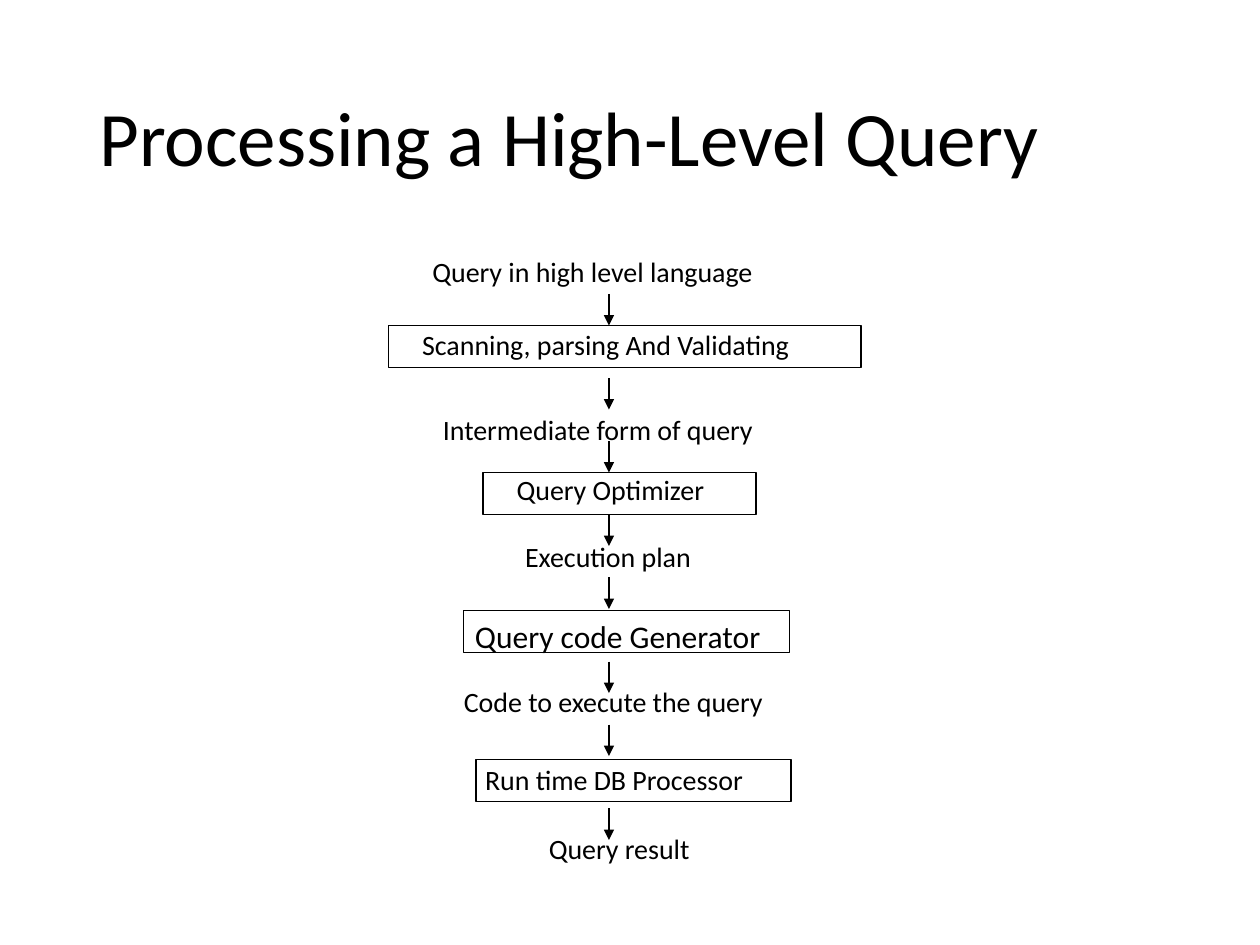
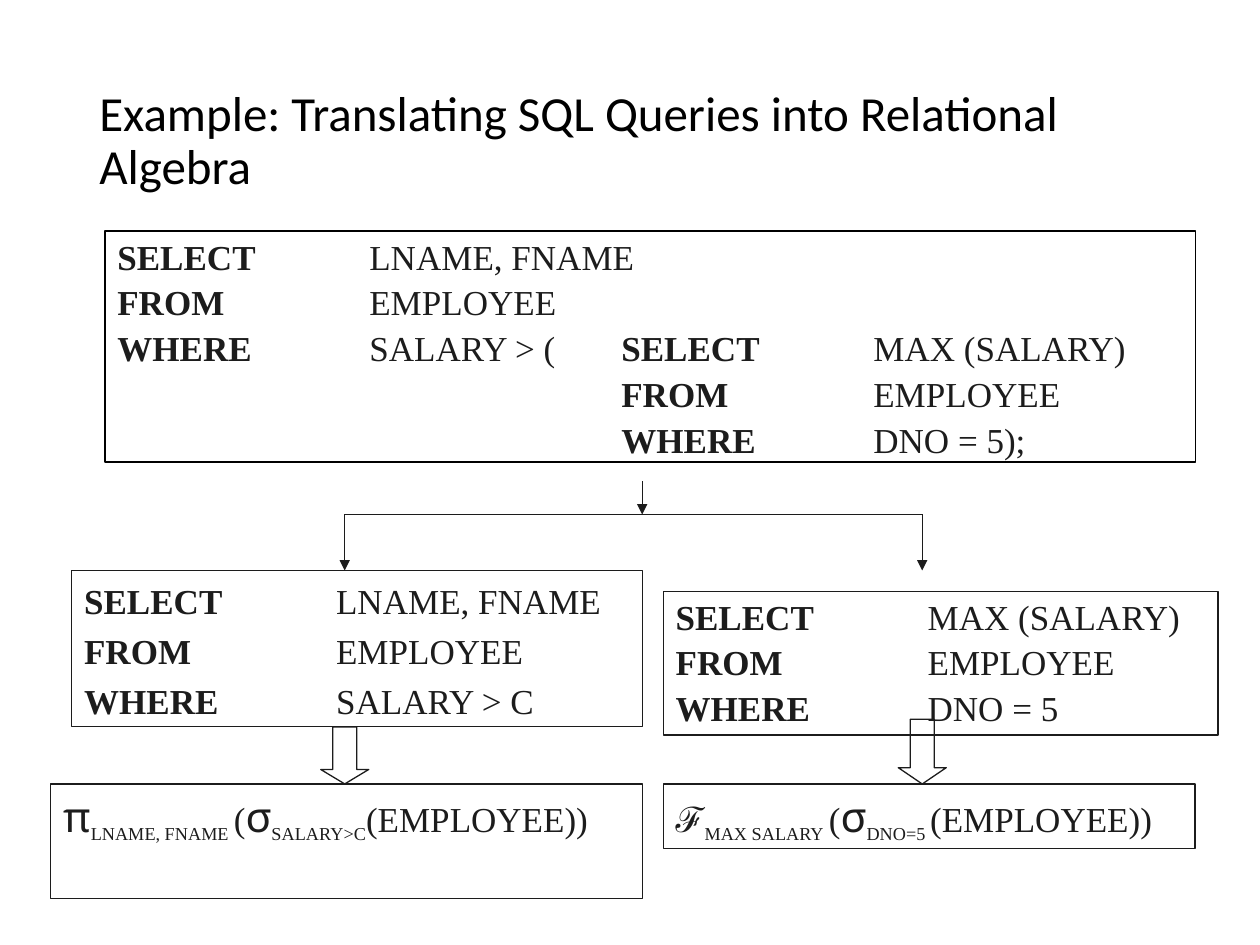
from lxml.etree import SubElement
from pptx import Presentation
from pptx.dml.color import RGBColor
from pptx.enum.shapes import MSO_CONNECTOR as Link, MSO_SHAPE as Shape
from pptx.enum.text import MSO_ANCHOR as Anchor
from pptx.oxml.ns import qn
from pptx.util import Pt

COLORS = {"black": "000000", "ink": "1C1C1C", "paper": "FFFFFF"}
SANS, SERIF, GREEK, SCRIPT = "Calibri", "Times New Roman", "Noto Sans", "Arial"
KEYWORDS = {"SELECT", "FROM", "WHERE"}
COLUMN_STEP = 144  # distance between the tab stops of a query
LINE_WIDTH = 0.75
FLOW_X = 348  # the axis of all flow arrows

# Flow chart: text, left, top, width (text without a frame)
FLOW_DATA = [
    ("Query in high level language", 240, 142, 216),
    ("Intermediate form of query", 246, 232, 207),
    ("Execution plan", 293, 304.5, 118),
    ("Code to execute the query", 258, 387.5, 202),
    ("Query result", 306.5, 471.5, 101),
]
# Flow chart: text, left, top, width, text inset left and top, size
FLOW_STEPS = [
    ("Scanning, parsing And Validating", 222, 186, 270, 19.2, 1.2, 16),
    ("Query Optimizer", 276, 270, 156, 19.2, 0, 16),
    ("Query code Generator", 265, 349, 186, 6.4, 3.6, 18),
    ("Run time DB Processor", 272, 434, 180, 5.2, 1.6, 16),
]
FLOW_ARROW_TOPS = [168, 216, 252, 294, 330, 378, 414, 462]

OUTER_QUERY = [["SELECT", "LNAME, FNAME"], ["FROM", "EMPLOYEE"]]
INNER_QUERY = [["SELECT", "MAX (SALARY)"], ["FROM", "EMPLOYEE"]]
NESTED_QUERY = OUTER_QUERY + [
    ["WHERE", "SALARY > ("] + INNER_QUERY[0],
    ["", ""] + INNER_QUERY[1],
    ["", "", "WHERE", "DNO = 5);"],
]


def color(name):
    return RGBColor.from_string(COLORS[name])


def style_run(run, size, font=SANS, ink="black", bold=False, subscript=False):
    run.font.size = Pt(size)
    run.font.name = font
    run.font.bold = bold
    run.font.color.rgb = color(ink)
    if subscript:
        run._r.get_or_add_rPr().set("baseline", "-25000")


def prepare_frame(frame, insets=(7.2, 3.6, 7.2, 3.6), anchor=Anchor.TOP):
    frame.word_wrap = True
    frame.vertical_anchor = anchor
    (frame.margin_left, frame.margin_top,
     frame.margin_right, frame.margin_bottom) = map(Pt, insets)


def add_label(slide, text, left, top, width, height=26.6, size=16, anchor=Anchor.TOP):
    label = slide.shapes.add_textbox(Pt(left), Pt(top), Pt(width), Pt(height))
    prepare_frame(label.text_frame, anchor=anchor)
    label.text_frame.text = text
    line = label.text_frame.paragraphs[0]
    style_run(line.runs[0], size)
    return line


def add_title(slide, text, size):
    line = add_label(slide, text, 49.7, 28.8, 620.6, 104.4, size, Anchor.MIDDLE)
    line.line_spacing = 0.9


def add_outline(slide, left, top, width, height, ink="ink", kind=Shape.RECTANGLE):
    outline = slide.shapes.add_shape(kind, Pt(left), Pt(top), Pt(width), Pt(height))
    outline.shadow.inherit = False
    outline.fill.background()
    outline.line.color.rgb = color(ink)
    outline.line.width = Pt(LINE_WIDTH)
    return outline


def add_step(slide, text, left, top, width, inset_left, inset_top, size):
    frame = add_outline(slide, left, top, width, 24, "black").text_frame
    prepare_frame(frame, (inset_left, inset_top, 0, 0))
    frame.text = text
    frame.paragraphs[0].alignment = 1
    style_run(frame.paragraphs[0].runs[0], size)


def add_line(slide, x1, y1, x2, y2, ink="ink", arrow=True):
    line = slide.shapes.add_connector(Link.STRAIGHT, Pt(x1), Pt(y1), Pt(x2), Pt(y2))
    line.line.color.rgb = color(ink)
    line.line.width = Pt(LINE_WIDTH)
    if arrow:
        SubElement(line.line._get_or_add_ln(), qn("a:tailEnd"), type="triangle")
    SubElement(line._element.spPr, qn("a:effectLst"))


def add_query(slide, rows, left, top, width, height, ink="ink", spacing=0.9):
    """Framed SQL text whose columns stand on evenly spaced tab stops."""
    frame = add_outline(slide, left, top, width, height, ink).text_frame
    prepare_frame(frame, (7.2, 5, 0, 3.6))
    for number, row in enumerate(rows):
        line = frame.add_paragraph() if number else frame.paragraphs[0]
        stops = SubElement(line._p.get_or_add_pPr(), qn("a:tabLst"))
        for column in range(1, 4):
            SubElement(stops, qn("a:tab"), pos=str(Pt(column * COLUMN_STEP)), algn="l")
        line.alignment = 1
        line.line_spacing = spacing
        if number:
            line.space_before = Pt(4.6)
        for column, cell in enumerate(row):
            text = "\t" * (column > 0) + cell
            if text:
                run = line.add_run()
                run.text = text
                style_run(run, 20, SERIF, "ink", bold=cell in KEYWORDS)


def add_formula(slide, parts, left, top, width, height):
    """Framed algebra expression; parts hold text, size, font, subscript."""
    frame = add_outline(slide, left, top, width, height).text_frame
    prepare_frame(frame)
    line = frame.paragraphs[0]
    line.alignment = 1
    for text, size, font, subscript in parts:
        run = line.add_run()
        run.text = text
        style_run(run, size, font, "ink", subscript=subscript)


def expression(operator, operator_size, operator_font, subject, condition):
    return [
        (operator, operator_size, operator_font, False),
        (subject, 18, SERIF, True),
        (" ", 20, SERIF, True),
        ("(", 20, SERIF, False),
        ("σ", 24, GREEK, False),
        (condition, 18, SERIF, True),
        ("(EMPLOYEE))", 20, SERIF, False),
    ]


def add_block_arrow(slide, center, top, bottom, head):
    width = 27.4
    arrow = add_outline(slide, center - width / 2, top, width, bottom - top,
                        kind=Shape.DOWN_ARROW)
    arrow.adjustments[0] = 0.5
    arrow.adjustments[1] = head


def build_processing(slide):
    add_title(slide, "Processing a High-Level Query", 44)
    for step in FLOW_STEPS:
        add_step(slide, *step)
    for data in FLOW_DATA:
        add_label(slide, *data)
    for top in FLOW_ARROW_TOPS:
        add_line(slide, FLOW_X, top, FLOW_X, top + 18, "black")


def build_translation(slide):
    add_title(slide, "Example: Translating SQL Queries into Relational Algebra", 28)

    # Nested query and the two blocks it is split into
    add_query(slide, NESTED_QUERY, 60, 132, 623, 132, "black")
    add_query(slide, INNER_QUERY + [["WHERE", "DNO = 5"]], 379, 337.8, 317, 82.3)
    add_query(slide, OUTER_QUERY + [["WHERE", "SALARY > C"]], 41, 326, 326, 89.3,
              spacing=1)

    # Branching from the nested query
    left_x, right_x, branch_y = 197, 527, 294
    add_line(slide, 367, 275, 367, branch_y)
    add_line(slide, left_x, branch_y, right_x, branch_y, arrow=False)
    for x in (left_x, right_x):
        add_line(slide, x, branch_y, x, 326)

    # Algebra expressions
    formula_top = 448
    add_formula(slide, expression("π", 24, GREEK, "LNAME, FNAME", "SALARY>C"),
                29, formula_top, 338, 65.3)
    add_formula(slide, expression("ℱ", 20, SCRIPT, "MAX SALARY", "DNO=5 "),
                379, formula_top, 304, 36.8)
    add_block_arrow(slide, left_x, 415.4, formula_top, 0.3)
    add_block_arrow(slide, right_x, 411, formula_top, 0.34)


def main():
    deck = Presentation()
    deck.slide_width, deck.slide_height = Pt(720), Pt(540)
    for build in (build_processing, build_translation):
        slide = deck.slides.add_slide(deck.slide_layouts[6])
        slide.background.fill.solid()
        slide.background.fill.fore_color.rgb = color("paper")
        build(slide)
    deck.save("out.pptx")


if __name__ == "__main__":
    main()
